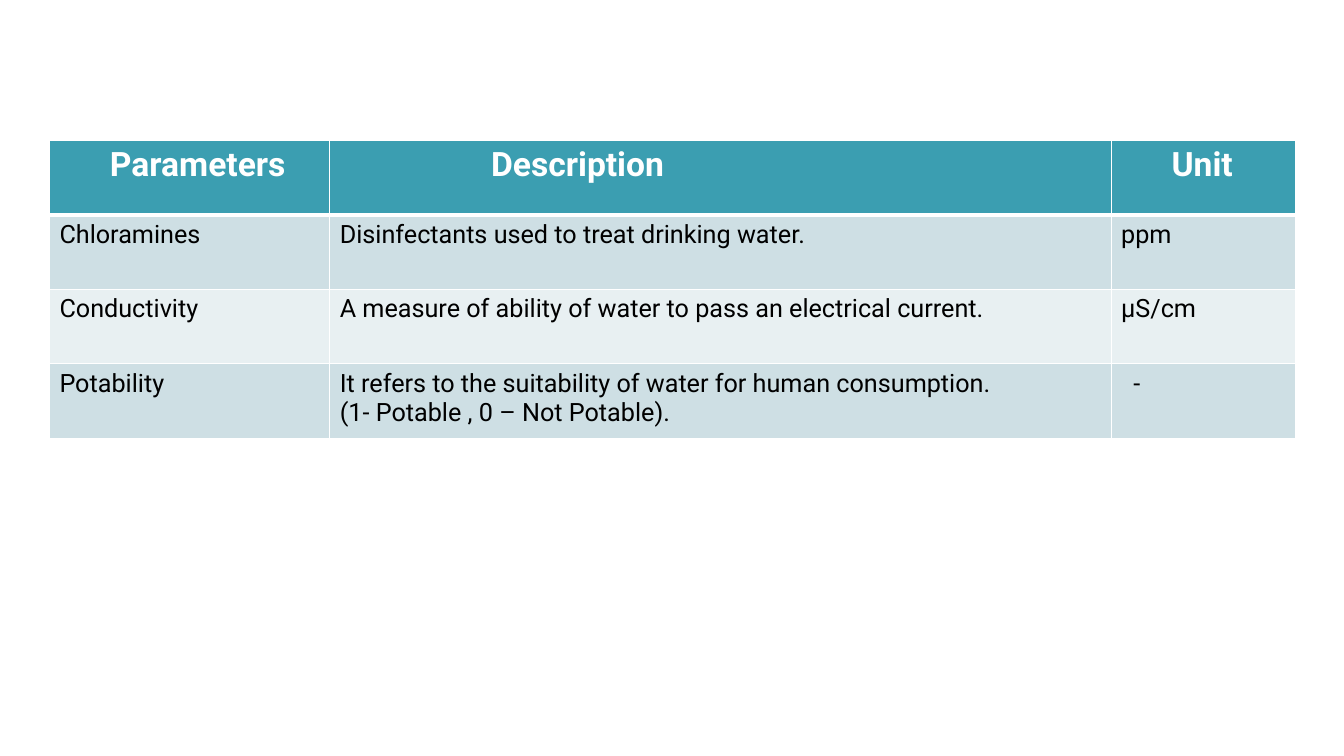
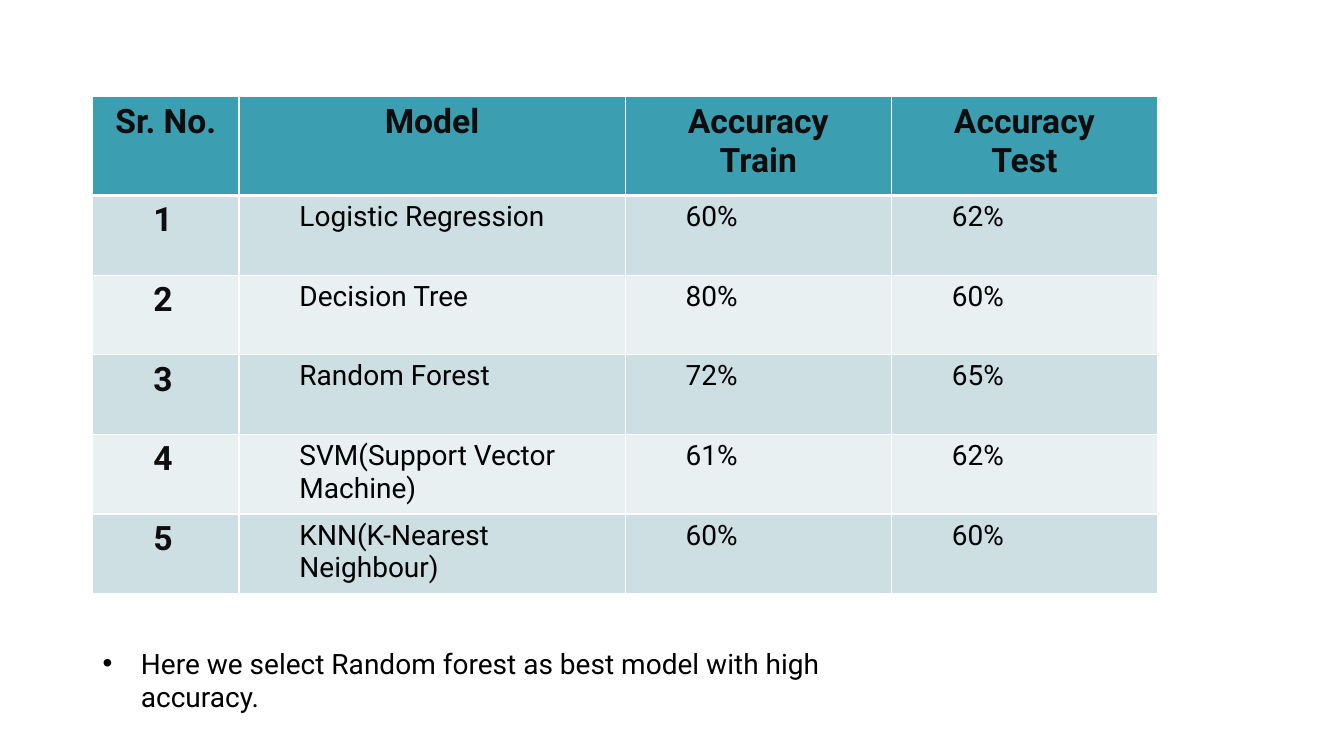
import lxml.etree
import pptx
import pptx.dml.color
import pptx.enum.text
import pptx.oxml.ns
import pptx.util

Inches = pptx.util.Inches
Pt = pptx.util.Pt
RGBColor = pptx.dml.color.RGBColor
qn = pptx.oxml.ns.qn
CENTER = pptx.enum.text.PP_ALIGN.CENTER

TEAL = RGBColor(0x3B, 0x9E, 0xB1)
BAND_DARK = RGBColor(0xCE, 0xDF, 0xE4)
BAND_LIGHT = RGBColor(0xE8, 0xF0, 0xF2)
WHITE = RGBColor(0xFF, 0xFF, 0xFF)
BLACK = RGBColor(0x00, 0x00, 0x00)
INK = RGBColor(0x0D, 0x0D, 0x0D)


class Deck:
    font_name = "Roboto"
    heading_size = 24

    def __init__(self):
        self.presentation = pptx.Presentation()
        self.presentation.slide_width = Inches(13.33)
        self.presentation.slide_height = Inches(7.5)
        self.slide = None

    def add_slide(self):
        blank_layout = self.presentation.slide_layouts[6]
        self.slide = self.presentation.slides.add_slide(blank_layout)

    def set_text(self, text_frame, text, size, color, bold=False, align=None, margin=0, indent=0):
        text_frame.text = text
        for paragraph in text_frame.paragraphs:
            paragraph.font.name = self.font_name
            paragraph.font.size = Pt(size)
            paragraph.font.bold = bold
            paragraph.font.color.rgb = color
            paragraph.alignment = align
            properties = paragraph._p.get_or_add_pPr()
            properties.set("marL", str(Inches(margin)))
            properties.set("indent", str(Inches(indent)))

    def set_heading(self, cell, text, color, align=None, margin=0):
        self.set_text(cell.text_frame, text, self.heading_size, color, True, align, margin)

    def add_border(self, cell, top, bottom):
        properties = cell._tc.get_or_add_tcPr()
        widths = {"a:lnL": 1, "a:lnR": 1, "a:lnT": top, "a:lnB": bottom}
        for position, (tag, width) in enumerate(widths.items()):
            line = lxml.etree.Element(qn(tag), w=str(Pt(width)))
            fill = lxml.etree.SubElement(line, qn("a:solidFill"))
            lxml.etree.SubElement(fill, qn("a:srgbClr"), val=str(WHITE))
            properties.insert(position, line)

    def add_table(self, left, top, column_widths, row_heights):
        table = self.slide.shapes.add_table(
            len(row_heights), len(column_widths), Inches(left), Inches(top),
            Inches(sum(column_widths)), Inches(sum(row_heights))).table
        for column, width in zip(table.columns, column_widths):
            column.width = Inches(width)
        for index, (row, height) in enumerate(zip(table.rows, row_heights)):
            row.height = Inches(height)
            color = TEAL if index == 0 else BAND_DARK if index % 2 else BAND_LIGHT
            for cell in row.cells:
                cell.fill.solid()
                cell.fill.fore_color.rgb = color
                self.add_border(cell, 3 if index == 1 else 1, 3 if index == 0 else 1)
        return table

    def add_bullet(self, left, top, width, height, text, size):
        shape = self.slide.shapes.add_textbox(
            Inches(left), Inches(top), Inches(width), Inches(height))
        frame = shape.text_frame
        frame.word_wrap = True
        frame.auto_size = pptx.enum.text.MSO_AUTO_SIZE.SHAPE_TO_FIT_TEXT
        self.set_text(frame, text, size, BLACK, margin=0.38, indent=-0.38)
        properties = frame.paragraphs[0]._p.get_or_add_pPr()
        bullet_font = lxml.etree.Element(qn("a:buFont"), typeface="Arial")
        bullet = lxml.etree.Element(qn("a:buChar"), char="•")
        properties.insert(0, bullet_font)
        properties.insert(1, bullet)


def build_parameters(deck):
    deck.add_slide()
    headings = [("Parameters", 0.5), ("Description", 1.5), ("Unit", 0.5)]
    rows = [
        ("Chloramines", "Disinfectants used to treat drinking water.", "ppm"),
        ("Conductivity", "A measure of ability of water to pass an electrical current.", "µS/cm"),
        ("Potability", "It refers to the suitability of water for human consumption.\n"
                       "(1- Potable , 0 – Not Potable).", "-"),
    ]
    table = deck.add_table(0.49, 1.39, [2.78, 7.75, 1.83], [0.74] * (len(rows) + 1))
    for column, (heading, margin) in enumerate(headings):
        deck.set_heading(table.cell(0, column), heading, WHITE, margin=margin)
    for row, values in enumerate(rows, 1):
        for column, value in enumerate(values):
            margin = 0.12 if value == "-" else 0
            deck.set_text(table.cell(row, column).text_frame, value, 18, BLACK, margin=margin)


def build_models(deck):
    deck.add_slide()
    headings = ["Sr. No.", "Model", "Accuracy\nTrain", "Accuracy\nTest"]
    models = [
        ("Logistic Regression", "60%", "62%"),
        ("Decision Tree", "80%", "60%"),
        ("Random Forest", "72%", "65%"),
        ("SVM(Support Vector Machine)", "61%", "62%"),
        ("KNN(K-Nearest Neighbour)", "60%", "60%"),
    ]
    table = deck.add_table(0.92, 0.96, [1.45, 3.83, 2.64, 2.64], [0.98] + [0.79] * len(models))
    for column, heading in enumerate(headings):
        deck.set_heading(table.cell(0, column), heading, INK, CENTER)
    for row, values in enumerate(models, 1):
        deck.set_heading(table.cell(row, 0), str(row), INK, margin=0.5)
        for column, value in enumerate(values, 1):
            deck.set_text(table.cell(row, column).text_frame, value, 20, BLACK, margin=0.5)
    deck.add_bullet(0.92, 6.36, 8.23, 0.44,
                    "Here we select Random forest as best model with high accuracy.", 20)


def main():
    deck = Deck()
    build_parameters(deck)
    build_models(deck)
    deck.presentation.save("out.pptx")


if __name__ == "__main__":
    main()
